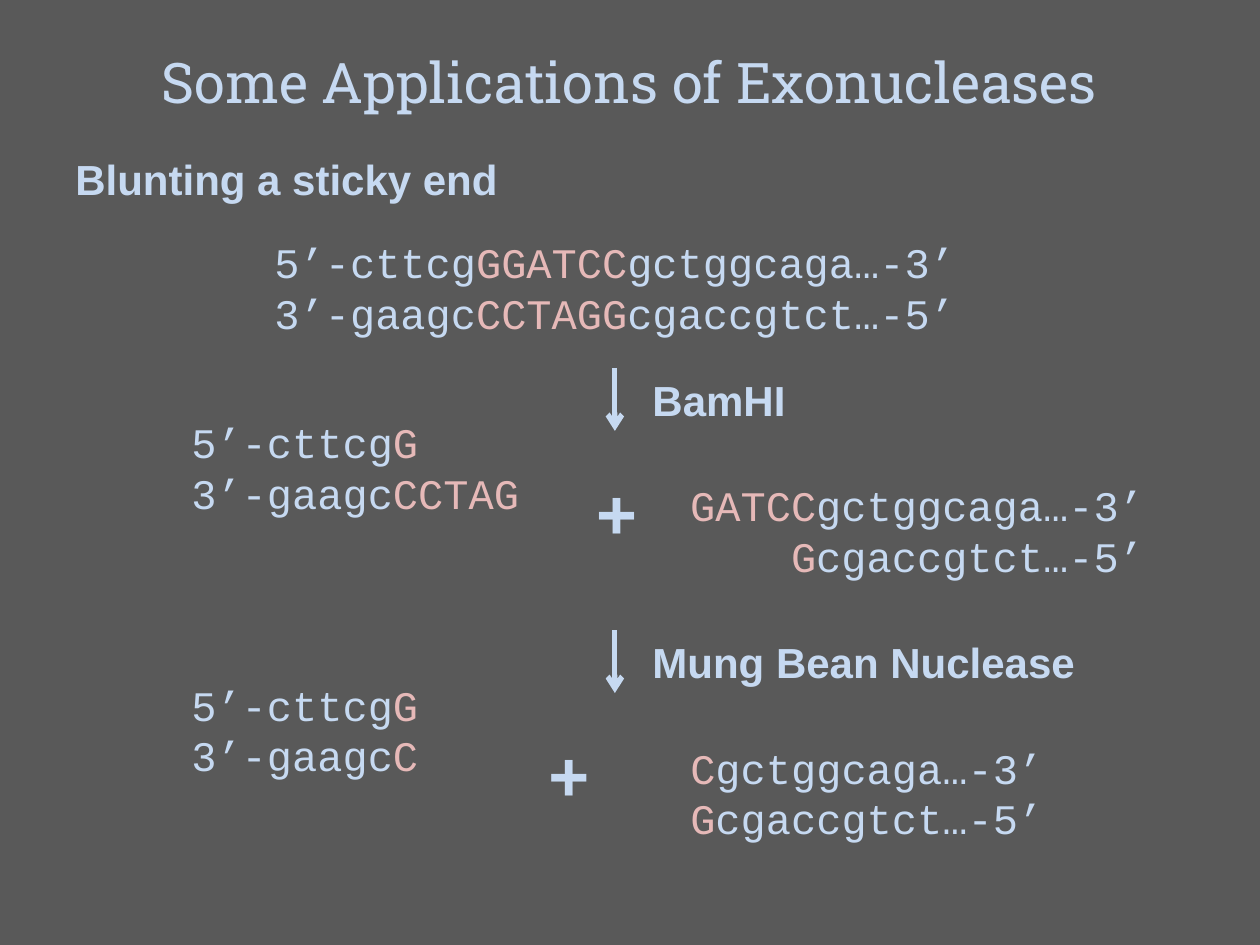
from dataclasses import dataclass
from itertools import groupby

from lxml import etree
from pptx import Presentation
from pptx import util as u
from pptx.dml.color import RGBColor
from pptx.enum import shapes, text
from pptx.oxml.ns import qn


@dataclass(frozen=True)
class Theme:
    back: RGBColor = RGBColor.from_string("595959")
    ink: RGBColor = RGBColor.from_string("C6D9F1")
    site: RGBColor = RGBColor.from_string("E6B9B8")
    title: str = "Roboto Slab"
    sans: str = "Arial"
    mono: str = "Courier New"
    title_size: int = 32
    size: int = 24
    plus_size: int = 40


class Builder:
    def __init__(self, prs, theme):
        self.theme = theme
        self.s = prs.slides.add_slide(prs.slide_layouts[5])
        fill = self.s.background.fill
        fill.solid()
        fill.fore_color.rgb = theme.back

    def add_run(self, p, words, color=None, **fmt):
        r = p.add_run()
        r.text = words
        r.font.color.rgb = color or self.theme.ink
        for name, value in fmt.items():
            setattr(r.font, name, value)

    def frame(self, x, y, w, h):
        tf = self.s.shapes.add_textbox(*map(u.Inches, (x, y, w, h))).text_frame
        tf.word_wrap = True
        return tf

    def title(self, words, x, y, w, h):
        sp = self.s.shapes.title
        box = dict(left=x, top=y, width=w, height=h)
        for name, value in box.items():
            setattr(sp, name, u.Inches(value))
        tf = sp.text_frame
        tf.auto_size = text.MSO_AUTO_SIZE.NONE
        tf.vertical_anchor = text.MSO_ANCHOR.TOP
        p = tf.paragraphs[0]
        p.alignment = text.PP_ALIGN.CENTER
        self.add_run(p, words, name=self.theme.title,
                     size=u.Pt(self.theme.title_size))

    def label(self, words, x, y, w, h=0.5):
        self.add_run(self.frame(x, y, w, h).paragraphs[0], words, bold=True,
                     name=self.theme.sans, size=u.Pt(self.theme.size))

    def plus(self, x, y):
        self.add_run(self.frame(x, y, 0.54, 0.77).paragraphs[0], "+", bold=True,
                     name=self.theme.mono, size=u.Pt(self.theme.plus_size))

    def duplex(self, strands, x, y, w, lower_indent=0):
        """Two strands; capitals belong to the recognition site."""
        t = self.theme
        tf = self.frame(x, y, w, 0.91)
        for i, strand in enumerate(strands):
            p = tf.add_paragraph() if i else tf.paragraphs[0]
            if i and lower_indent:
                pPr = p._p.get_or_add_pPr()
                pPr.set("marL", str(u.Inches(lower_indent)))
                pPr.set("indent", "0")
            for in_site, letters in groupby(strand, str.isupper):
                self.add_run(p, "".join(letters), t.site if in_site else t.ink,
                             name=t.mono, size=u.Pt(t.size))

    def arrow(self, x, y, length=0.5):
        c = self.s.shapes.add_connector(
            shapes.MSO_CONNECTOR.STRAIGHT,
            *map(u.Inches, (x, y, x, y + length)))
        c.line.color.rgb = self.theme.ink
        c.line.width = u.Pt(3)
        etree.SubElement(c.line._get_or_add_ln(), qn("a:tailEnd"), type="arrow")
        etree.SubElement(c._element.spPr, qn("a:effectLst"))


def main():
    prs = Presentation()
    prs.slide_width, prs.slide_height = u.Inches(10), u.Inches(7.5)
    b = Builder(prs, Theme())

    # Headings
    b.title("Some Applications of Exonucleases", 0, 0.33, 10, 0.64)
    b.label("Blunting a sticky end", 0.5, 1.17, 8.67)

    # Uncut sequence
    b.duplex(("5’-cttcgGGATCCgctggcaga…-3’", "3’-gaagcCCTAGGcgaccgtct…-5’"),
             2.08, 1.83, 6)

    # Enzyme steps: top, enzyme, label width, left and right ends,
    # right width, lower strand indent, plus sign left
    char = 0.2
    steps = [
        (2.92, "BamHI", 1.27,
         ("5’-cttcgG", "3’-gaagcCCTAG"),
         ("GATCCgctggcaga…-3’", "Gcgaccgtct…-5’"), 3.83, 4 * char, 4.63),
        (5, "Mung Bean Nuclease", 3.59,
         ("5’-cttcgG", "3’-gaagcC"),
         ("Cgctggcaga…-3’", "Gcgaccgtct…-5’"), 3.02, 0, 4.25),
    ]
    for y, enzyme, label_w, left, right, right_w, indent, plus_x in steps:
        b.arrow(4.88, y)
        b.label(enzyme, 5.08, y, label_w)
        b.duplex(left, 1.42, y + 0.34, 3.25)
        b.plus(plus_x, y + 0.76)
        b.duplex(right, 5.38, y + 0.84, right_w, indent)

    prs.save("out.pptx")


if __name__ == "__main__":
    main()
